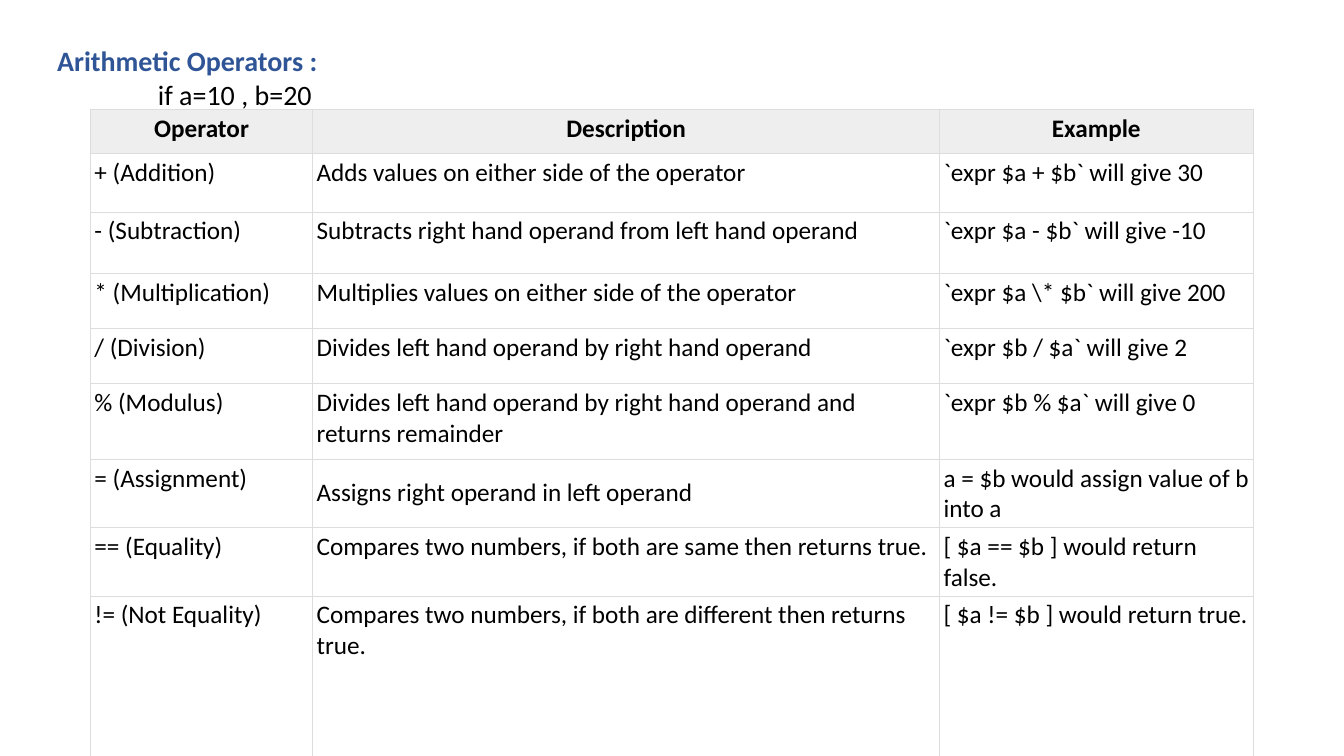
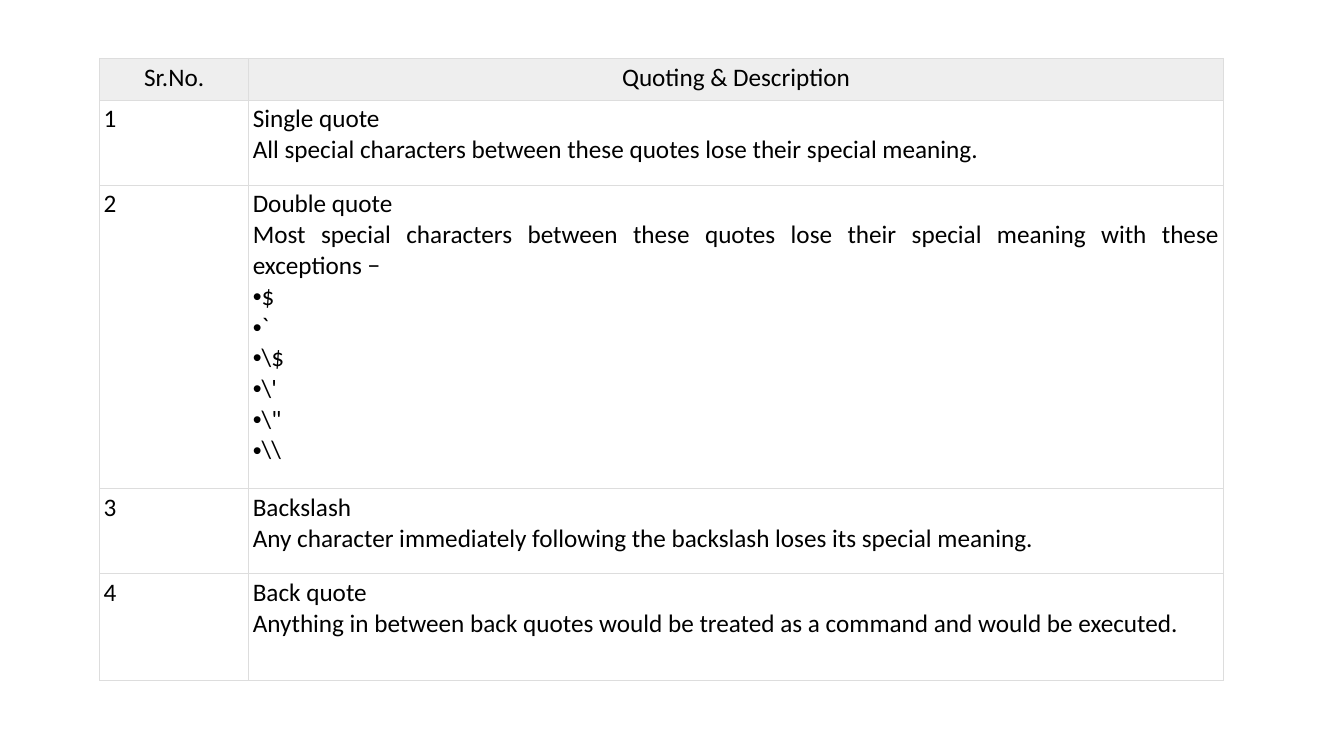
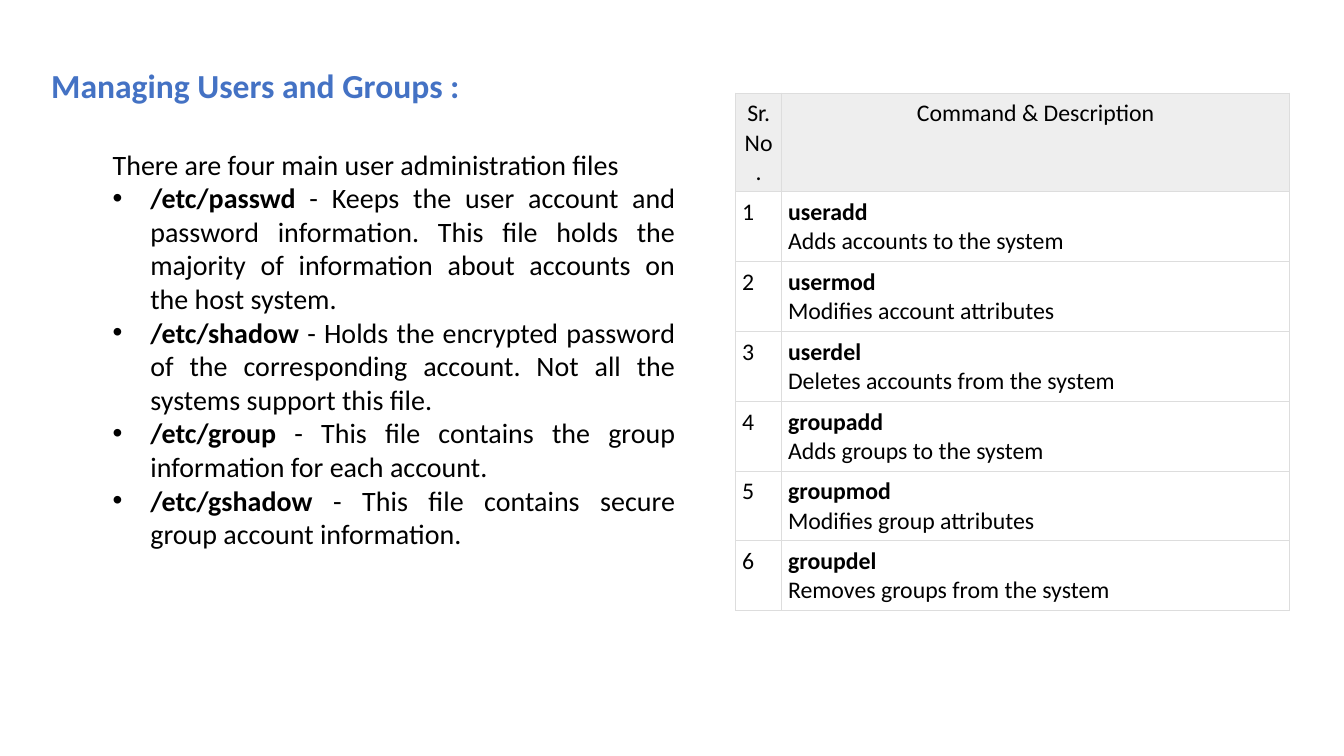
from dataclasses import dataclass

import pptx
import pptx.dml.color
import pptx.enum.text
import pptx.oxml.ns
import pptx.util
from lxml import etree

Cm = pptx.util.Cm
Pt = pptx.util.Pt
ALIGN = pptx.enum.text.PP_ALIGN
ANCHOR = pptx.enum.text.MSO_ANCHOR


@dataclass(frozen=True)
class Theme:
    font: str = "Calibri"
    bullet_font: str = "Arial"
    ink: str = "000000"
    heading_dark: str = "2F5597"
    heading_light: str = "4472C4"
    header_fill: str = "EEEEEE"
    border: str = "DDDDDD"
    border_width: float = 0.6
    heading_size: int = 24
    body_size: int = 20
    table_size: int = 18
    compact_size: int = 17


THEME = Theme()

OPERATOR_HEADING = "Arithmetic Operators :"
OPERATOR_PREMISE = "if a=10 , b=20"
OPERATOR_HEADER = ("Operator", "Description", "Example")
OPERATORS = [
    ("+ (Addition)", "Adds values on either side of the operator", "`expr $a + $b` will give 30"),
    ("- (Subtraction)", "Subtracts right hand operand from left hand operand",
     "`expr $a - $b` will give -10"),
    ("* (Multiplication)", "Multiplies values on either side of the operator",
     r"`expr $a \* $b` will give 200"),
    ("/ (Division)", "Divides left hand operand by right hand operand",
     "`expr $b / $a` will give 2"),
    ("% (Modulus)", "Divides left hand operand by right hand operand and returns remainder",
     "`expr $b % $a` will give 0"),
    ("= (Assignment)", "Assigns right operand in left operand",
     "a = $b would assign value of b into a"),
    ("== (Equality)", "Compares two numbers, if both are same then returns true.",
     "[ $a == $b ] would return false."),
    ("!= (Not Equality)", "Compares two numbers, if both are different then returns true.",
     "[ $a != $b ] would return true."),
]
ASSIGNMENT_ROW = 6

QUOTING_HEADER = ("Sr.No.", "Quoting & Description")
QUOTINGS = [
    ("Single quote", "All special characters between these quotes lose their special meaning.", ()),
    ("Double quote",
     "Most special characters between these quotes lose their special meaning with these exceptions −",
     ("$", "`", r"\$", r"\'", r'\"', r"\\")),
    ("Backslash",
     "Any character immediately following the backslash loses its special meaning.", ()),
    ("Back quote",
     "Anything in between back quotes would be treated as a command and would be executed.", ()),
]

USERS_HEADING = "Managing Users and Groups :"
USERS_INTRO = "There are four main user administration files"
ADMIN_FILES = [
    ("/etc/passwd", " - Keeps the user account and password information. This file holds the "
                    "majority of information about accounts on the host system."),
    ("/etc/shadow", " - Holds the encrypted password of the corresponding account. "
                    "Not all the systems support this file."),
    ("/etc/group", " - This file contains the group information for each account."),
    ("/etc/gshadow", " - This file contains secure group account information."),
]
COMMAND_HEADER = ("Sr.No.", "Command & Description")
COMMANDS = [
    ("useradd", "Adds accounts to the system"),
    ("usermod", "Modifies account attributes"),
    ("userdel", "Deletes accounts from the system"),
    ("groupadd", "Adds groups to the system"),
    ("groupmod", "Modifies group attributes"),
    ("groupdel", "Removes groups from the system"),
]


def add_child(parent, tag, **attributes):
    child = etree.SubElement(parent, pptx.oxml.ns.qn(tag))
    for name, value in attributes.items():
        child.set(name, str(value))
    return child


def add_text(frame, text, size=THEME.body_size, color=THEME.ink, bold=False, lead="",
             align=ALIGN.LEFT, bullet=False, margin=0, hanging=0):
    paragraph = frame.add_paragraph() if frame.text else frame.paragraphs[0]
    properties = paragraph._p.get_or_add_pPr()
    properties.set("marL", str(Cm(margin)))
    properties.set("indent", str(-Cm(hanging)))
    if bullet:
        add_child(properties, "a:buFont", typeface=THEME.bullet_font)
        add_child(properties, "a:buChar", char="•")
    paragraph.alignment = align
    for content, is_bold in ((lead, True), (text, bold)):
        if content:
            run = paragraph.add_run()
            run.text = content
            run.font.name = THEME.font
            run.font.size = Pt(size)
            run.font.bold = is_bold
            run.font.color.rgb = pptx.dml.color.RGBColor.from_string(color)


def add_text_box(slide, left, top, width, height):
    frame = slide.shapes.add_textbox(Cm(left), Cm(top), Cm(width), Cm(height)).text_frame
    frame.word_wrap = True
    return frame


def set_borders(cell):
    properties = cell._tc.get_or_add_tcPr()
    for side in ("a:lnL", "a:lnR", "a:lnT", "a:lnB"):
        line = add_child(properties, side, w=Pt(THEME.border_width))
        add_child(add_child(line, "a:solidFill"), "a:srgbClr", val=THEME.border)


def add_grid(slide, header, rows, left, top, widths, heights, padding,
             size=THEME.table_size, header_bold=False):
    table = slide.shapes.add_table(len(heights), len(widths), Cm(left), Cm(top),
                                   Cm(sum(widths)), Cm(sum(heights))).table
    table.first_row = table.horz_banding = False
    for column, width in zip(table.columns, widths):
        column.width = Cm(width)
    for row, height in zip(table.rows, heights):
        row.height = Cm(height)
    header_cells = [[(title, dict(align=ALIGN.CENTER, bold=header_bold))] for title in header]
    for row_index, contents in enumerate([header_cells] + rows):
        for column_index, lines in enumerate(contents):
            cell = table.cell(row_index, column_index)
            cell.margin_left = cell.margin_right = Cm(padding)
            cell.margin_top = cell.margin_bottom = Cm(padding)
            set_borders(cell)
            if row_index == 0:
                cell.fill.solid()
                cell.fill.fore_color.rgb = pptx.dml.color.RGBColor.from_string(THEME.header_fill)
            else:
                cell.fill.background()
            for text, text_format in lines:
                add_text(cell.text_frame, text, size=size, **text_format)
    return table


def numbered(descriptions):
    return [[[(str(number), {})], lines] for number, lines in enumerate(descriptions, 1)]


def build_operators(slide):
    frame = add_text_box(slide, 1.19, 0.97, 16.94, 1.96)
    add_text(frame, OPERATOR_HEADING, color=THEME.heading_dark, bold=True)
    add_text(frame, OPERATOR_PREMISE, margin=2.54)
    rows = [[[(text, {})] for text in operator] for operator in OPERATORS]
    table = add_grid(slide, OPERATOR_HEADER, rows, 2.28, 2.76, (5.6, 15.8, 7.9),
                     (1.1, 1.48, 1.55, 1.38, 1.4, 1.9, 1.5, 1.68, 4.04), 0.1,
                     header_bold=True)
    table.cell(ASSIGNMENT_ROW, 1).vertical_anchor = ANCHOR.MIDDLE


def build_quoting(slide):
    justified = dict(align=ALIGN.JUSTIFY)
    descriptions = [
        [(name, justified), (meaning, justified)]
        + [(symbol, dict(bullet=True)) for symbol in exceptions]
        for name, meaning, exceptions in QUOTINGS
    ]
    add_grid(slide, QUOTING_HEADER, numbered(descriptions), 2.51, 1.47, (3.76, 24.56),
             (1.05, 2.14, 7.65, 2.14, 2.7), 0.1)


def build_users(slide):
    descriptions = [
        [(command, dict(align=ALIGN.JUSTIFY, bold=True)), (effect, dict(align=ALIGN.JUSTIFY))]
        for command, effect in COMMANDS
    ]
    add_grid(slide, COMMAND_HEADER, numbered(descriptions), 18.54, 2.34, (1.16, 12.8),
             [1.73] * (len(COMMANDS) + 1), 0.16, size=THEME.compact_size)
    heading = add_text_box(slide, 1.04, 1.52, 16.94, 1.17)
    add_text(heading, USERS_HEADING, size=THEME.heading_size, color=THEME.heading_light, bold=True)
    body = add_text_box(slide, 2.59, 3.58, 14.68, 10.52)
    add_text(body, USERS_INTRO, align=ALIGN.JUSTIFY)
    for file_name, purpose in ADMIN_FILES:
        add_text(body, purpose, lead=file_name, align=ALIGN.JUSTIFY, bullet=True,
                 margin=0.95, hanging=0.95)


def main():
    presentation = pptx.Presentation()
    presentation.slide_width = Cm(33.87)
    presentation.slide_height = Cm(19.05)
    for build in (build_operators, build_quoting, build_users):
        build(presentation.slides.add_slide(presentation.slide_layouts[6]))
    presentation.save("out.pptx")


if __name__ == "__main__":
    main()
